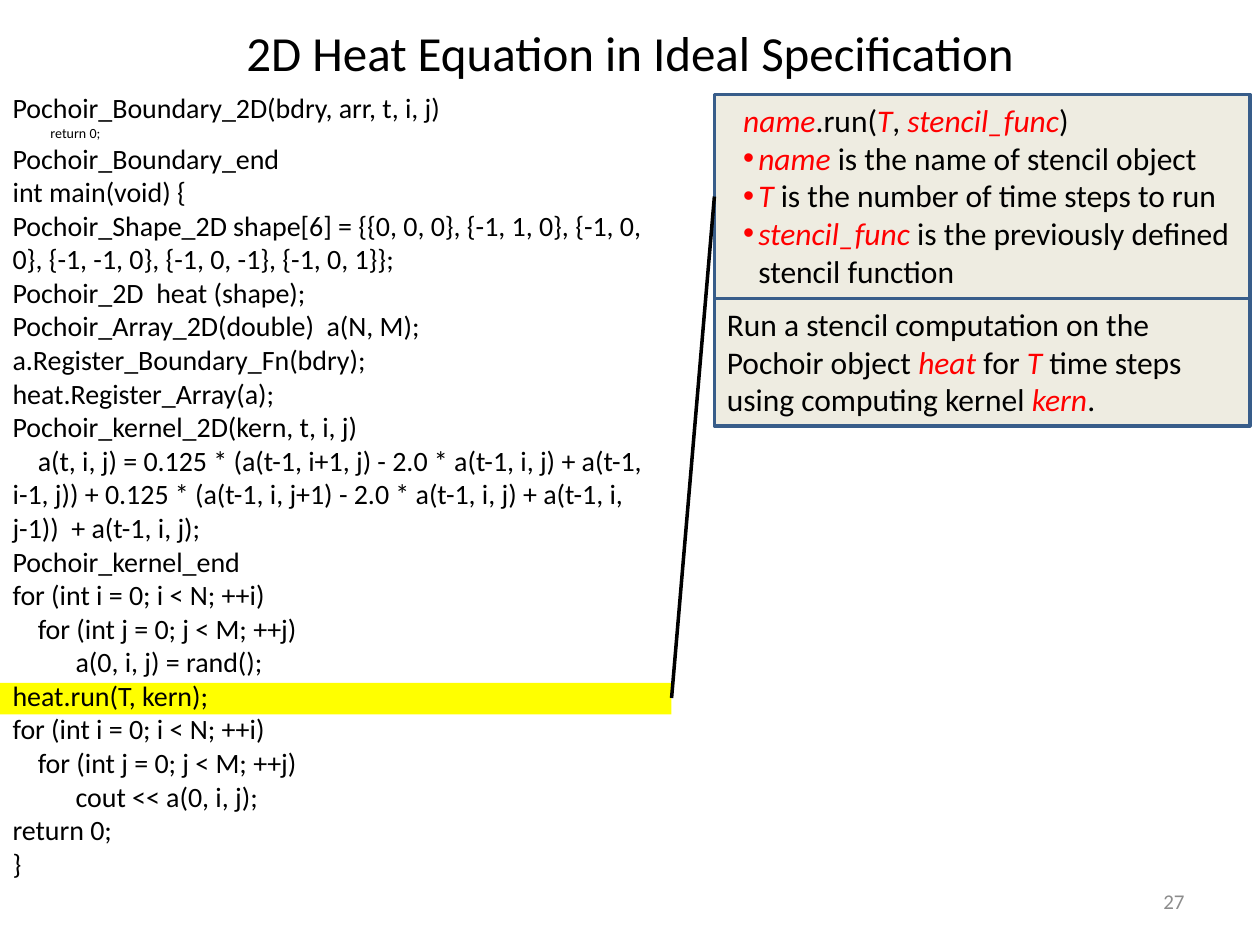
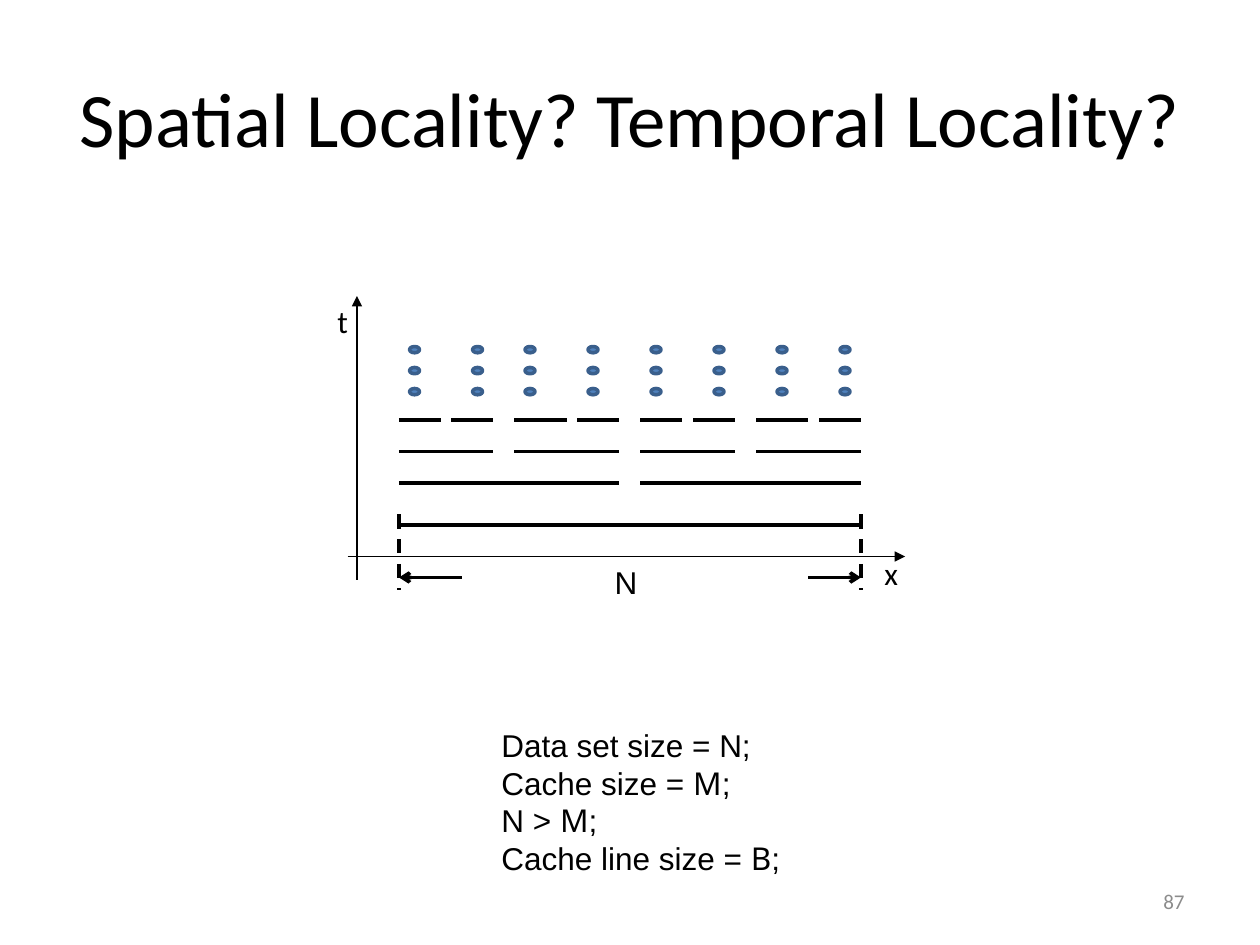
from dataclasses import dataclass

from lxml import etree
from pptx import Presentation
from pptx.dml.color import RGBColor
from pptx.enum.dml import MSO_LINE
from pptx.enum.shapes import MSO_CONNECTOR, MSO_SHAPE
from pptx.enum.text import MSO_ANCHOR, MSO_AUTO_SIZE, PP_ALIGN
from pptx.oxml.ns import qn
from pptx.util import Inches, Pt

STRAIGHT = MSO_CONNECTOR.STRAIGHT
RECTANGLE, OVAL = MSO_SHAPE.RECTANGLE, MSO_SHAPE.OVAL
TOP, MIDDLE = MSO_ANCHOR.TOP, MSO_ANCHOR.MIDDLE
LEFT, CENTER, RIGHT = PP_ALIGN.LEFT, PP_ALIGN.CENTER, PP_ALIGN.RIGHT
NO_FIT, DASH = MSO_AUTO_SIZE.NONE, MSO_LINE.DASH


@dataclass(frozen=True)
class Theme:
    black: str = "000000"
    gray: str = "8C8C8C"
    red: str = "FF0000"
    panel: str = "EEECE1"
    border: str = "385D8A"
    highlight: str = "FFFF00"
    dot: str = "4F81BD"
    dot_border: str = "3A5F8C"
    font: str = "Calibri"
    plain_font: str = "Arial"
    symbol_font: str = "Noto Sans"
    body_size: int = 18
    code_size: int = 16
    small_size: int = 8
    number_size: int = 12
    thin: float = 0.75
    thick: float = 2


THEME = Theme()

# ---- Content: pieces between bars are emphasised ----
HEAT_TITLE = "2D Heat Equation in Ideal Specification"
# Each code line: text, first-line indent in inches
CODE = [
    ("Pochoir_Boundary_2D(bdry, arr, t, i, j)", 0),
    ("return 0;", 0.3),
    ("Pochoir_Boundary_end", 0),
    ("int main(void) {", 0),
    ("Pochoir_Shape_2D shape[6] = {{0, 0, 0}, {-1, 1, 0}, {-1, 0, 0}, "
     "{-1, -1, 0}, {-1, 0, -1}, {-1, 0, 1}};", 0),
    ("Pochoir_2D  heat (shape);", 0),
    ("Pochoir_Array_2D(double)  a(N, M);", 0),
    ("a.Register_Boundary_Fn(bdry);", 0),
    ("heat.Register_Array(a);", 0),
    ("Pochoir_kernel_2D(kern, t, i, j)", 0),
    ("a(t, i, j) = 0.125 * (a(t-1, i+1, j) - 2.0 * a(t-1, i, j) + a(t-1, i-1, j)) "
     "+ 0.125 * (a(t-1, i, j+1) - 2.0 * a(t-1, i, j) + a(t-1, i, j-1))  "
     "+ a(t-1, i, j);", 0.2),
    ("Pochoir_kernel_end", 0),
    ("for (int i = 0; i < N; ++i)", 0),
    ("for (int j = 0; j < M; ++j)", 0.2),
    ("a(0, i, j) = rand();", 0.5),
    ("heat.run(T, kern);", 0),
    ("for (int i = 0; i < N; ++i)", 0),
    ("for (int j = 0; j < M; ++j)", 0.2),
    ("cout << a(0, i, j);", 0.5),
    ("return 0;", 0),
    ("}", 0),
]
SMALL_CODE_LINE = 1
RUN_SYNTAX = [
    "|name|.run(|T|, |stencil_func|)",
    "|name |is the name of stencil object",
    "|T |is the number of time steps to run",
    "|stencil_func| is the previously defined stencil function",
]
RUN_MEANING = ["Run a stencil computation on the Pochoir object |heat |for |T| time steps "
               "using computing kernel |kern|."]

LOCALITY_TITLE = "Spatial Locality? Temporal Locality?"
CACHE_FACTS = ["Data set size = N;", "Cache size = |M|;", "N > |M|;", "Cache line size = |B|;"]
AXIS_LABELS = [("t", 2.58, 2.35, 0.3, THEME.font), ("x", 6.92, 4.35, 0.35, THEME.font),
               ("N", 4.78, 4.42, 0.38, THEME.plain_font)]

# Diagram positions in twelfths of an inch
GRID = 1 / 12
PIECES = [(38, 42), (43, 47), (49, 54), (55, 59), (61, 65), (66, 70), (72, 77), (78, 82)]
LEVELS = [(40, 1), (43, 2), (46, 4), (50, 8)]  # row, pieces joined per bar
DOT_COLUMNS = (39, 45, 50, 56, 62, 68, 74, 80)
DOT_ROWS = (33, 35, 37)


# ---- Shared helpers ----
def color(value):
    return RGBColor.from_string(value)


def place(shape, left, top, width, height):
    shape.left, shape.top = Inches(left), Inches(top)
    shape.width, shape.height = Inches(width), Inches(height)


def style_run(run, size, font=THEME.font, ink=THEME.black, italic=False):
    run.font.size, run.font.name, run.font.italic = Pt(size), font, italic
    run.font.color.rgb = color(ink)


def set_indent(paragraph, margin=0.0, first=0.0, bullet=False):
    properties = paragraph._p.get_or_add_pPr()
    properties.set("marL", str(Inches(margin)))
    properties.set("indent", str(Inches(first)))
    if bullet:
        etree.SubElement(properties, qn("a:buFont")).set("typeface", "Arial")
        etree.SubElement(properties, qn("a:buChar")).set("char", "•")
    else:
        etree.SubElement(properties, qn("a:buNone"))


def write(shape, lines, size, font=THEME.font, emphasis=None, align=LEFT,
          anchor=TOP, wrap=True, ink=THEME.black):
    frame = shape.text_frame
    frame.word_wrap, frame.auto_size, frame.vertical_anchor = wrap, NO_FIT, anchor
    frame.text = "\n".join(line.replace("|", "") for line in lines)
    plain = {"font": font, "ink": ink}
    for paragraph, line in zip(frame.paragraphs, lines):
        paragraph.alignment = align
        paragraph.space_before = Pt(0)
        if "|" in line:
            paragraph.clear()
            for index, piece in enumerate(line.split("|")):
                if piece:
                    run = paragraph.add_run()
                    run.text = piece
                    style_run(run, size, **(emphasis if index % 2 else plain))
        else:
            style_run(paragraph.runs[0], size, **plain)
    return frame.paragraphs


def add_text(slide, lines, box, size, **options):
    shape = slide.shapes.add_textbox(*map(Inches, box))
    return write(shape, lines, size, **options)


def add_shape(slide, kind, box, fill, border=None):
    shape = slide.shapes.add_shape(kind, *map(Inches, box))
    shape.shadow.inherit = False
    shape.fill.solid()
    shape.fill.fore_color.rgb = color(fill)
    if border:
        shape.line.color.rgb = color(border)
        shape.line.width = Pt(THEME.thick)
    else:
        shape.line.fill.background()
    return shape


def add_line(slide, start, end, width=THEME.thick, head=None, dash=None):
    line = slide.shapes.add_connector(STRAIGHT, *map(Inches, (*start, *end)))
    line.line.color.rgb = color(THEME.black)
    line.line.width = Pt(width)
    if dash:
        line.line.dash_style = dash
    if head:
        etree.SubElement(line.line._get_or_add_ln(), qn("a:tailEnd")).set("type", head)
    etree.SubElement(line._element.spPr, qn("a:effectLst"))


def add_grid_line(slide, start, end, **options):
    add_line(slide, [value * GRID for value in start],
             [value * GRID for value in end], **options)


def start_slide(presentation, title, title_box, title_size, number):
    slide = presentation.slides.add_slide(presentation.slide_layouts[1])
    place(slide.shapes.title, *title_box)
    write(slide.shapes.title, [title], title_size, align=CENTER, anchor=MIDDLE)
    add_text(slide, [number], (7.17, 6.95, 2.33, 0.4), THEME.number_size,
             align=RIGHT, anchor=MIDDLE, ink=THEME.gray)
    return slide, slide.placeholders[1]


# ---- Slide: heat equation code ----
def build_heat_slide(presentation):
    slide, code = start_slide(presentation, HEAT_TITLE, (0.5, 0, 9, 0.83), 28, "27")

    # Explanation panels and the line to the highlighted call
    red_italic = {"ink": THEME.red, "italic": True}
    panel_left, panel_width, syntax_top, syntax_height = 5.67, 4.25, 0.75, 1.62
    syntax = add_shape(slide, RECTANGLE, (panel_left, syntax_top, panel_width, syntax_height),
                       THEME.panel, THEME.border)
    paragraphs = write(syntax, RUN_SYNTAX, THEME.body_size, emphasis=red_italic)
    for index, paragraph in enumerate(paragraphs):
        set_indent(paragraph, 0.25, -0.12, bullet=index > 0)
    add_line(slide, (5.33, 5.54), (panel_left, syntax_top + syntax_height / 2))
    meaning = add_shape(slide, RECTANGLE,
                        (panel_left, syntax_top + syntax_height, panel_width, 1.01),
                        THEME.panel, THEME.border)
    write(meaning, RUN_MEANING, THEME.body_size, emphasis=red_italic)

    # Code listing over its highlight band
    band = add_shape(slide, RECTANGLE, (0, 5.42, 5.33, 0.25), THEME.highlight)
    code.element.addprevious(band.element)
    place(code, 0, 0.67, 5.42, 6.43)
    paragraphs = write(code, [text for text, _ in CODE], THEME.code_size)
    for paragraph, (_, indent) in zip(paragraphs, CODE):
        set_indent(paragraph, first=indent)
    paragraphs[SMALL_CODE_LINE].runs[0].font.size = Pt(THEME.small_size)


# ---- Slide: locality diagram ----
def build_locality_slide(presentation):
    slide, facts = start_slide(presentation, LOCALITY_TITLE, (0.5, 0.3, 9, 1.25), 44, "87")

    # Axes and labels
    add_grid_line(slide, (33.1, 53), (86.2, 53), width=THEME.thin, head="triangle")
    add_grid_line(slide, (34, 55.2), (34, 28.2), width=THEME.thin, head="triangle")
    for label, left, top, width, font in AXIS_LABELS:
        add_text(slide, [label], (left, top, width, 0.4), THEME.body_size,
                 font=font, wrap=False)

    # Extent of N
    first, last = PIECES[0][0], PIECES[-1][1]
    for edge, arrow_start in ((first, 44), (last, 77)):
        add_grid_line(slide, (edge, 49), (edge, 56.2), dash=DASH)
        add_grid_line(slide, (arrow_start, 55), (edge, 55), head="arrow")

    # Each level joins neighbouring pieces into longer bars
    for row, joined in LEVELS:
        for index in range(0, len(PIECES), joined):
            add_grid_line(slide, (PIECES[index][0], row),
                          (PIECES[index + joined - 1][1], row))
    for column in DOT_COLUMNS:
        for row in DOT_ROWS:
            add_shape(slide, OVAL, (column * GRID, row * GRID, 0.08, 0.05),
                      THEME.dot, THEME.dot_border)

    # Cache facts
    place(facts, 3.88, 5.71, 2.47, 1.31)
    paragraphs = write(facts, CACHE_FACTS, THEME.body_size, font=THEME.plain_font,
                       emphasis={"font": THEME.symbol_font}, wrap=False)
    for paragraph in paragraphs:
        set_indent(paragraph)


def main():
    presentation = Presentation()
    presentation.slide_width, presentation.slide_height = Inches(10), Inches(7.5)
    build_heat_slide(presentation)
    build_locality_slide(presentation)
    presentation.save("out.pptx")


if __name__ == "__main__":
    main()
